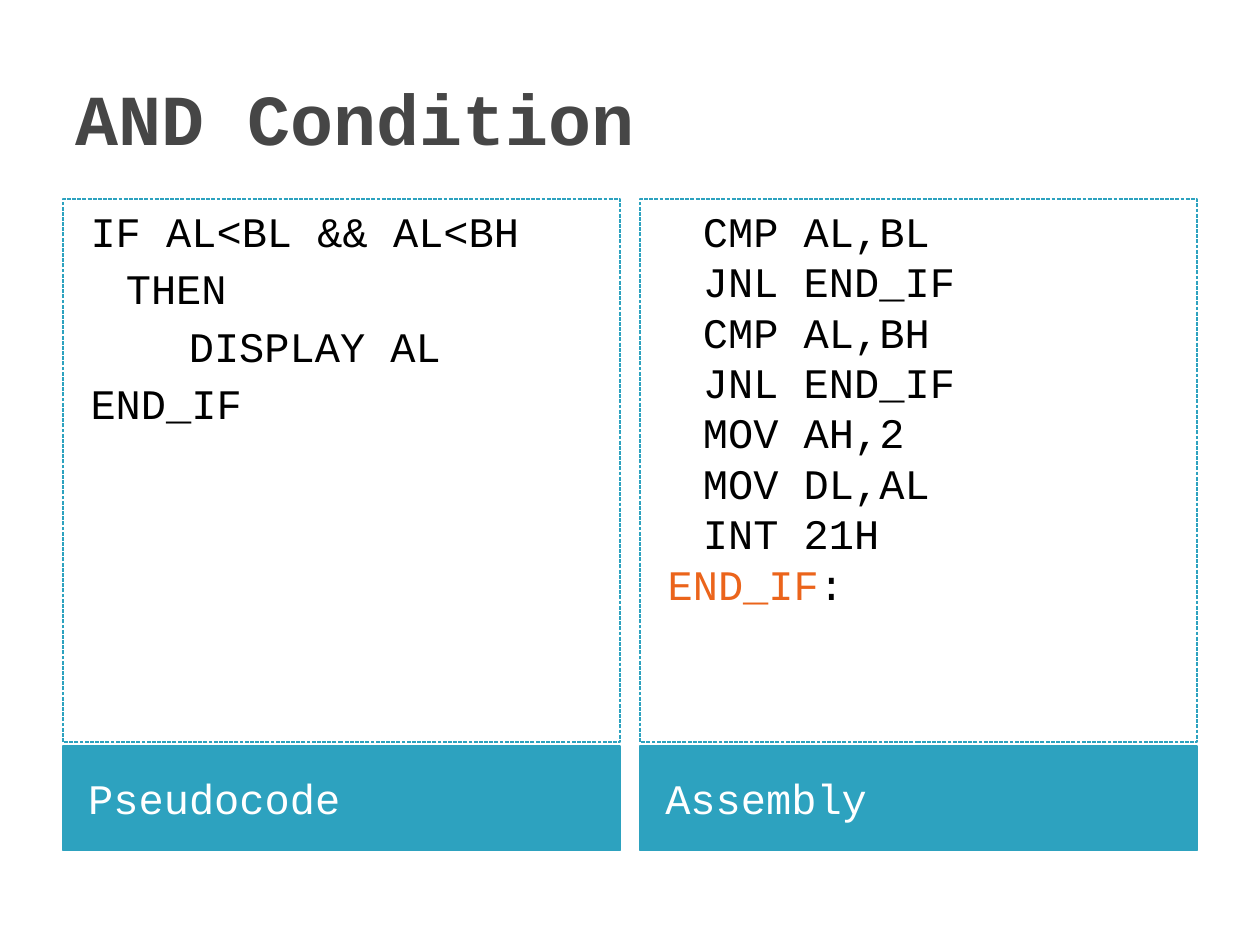
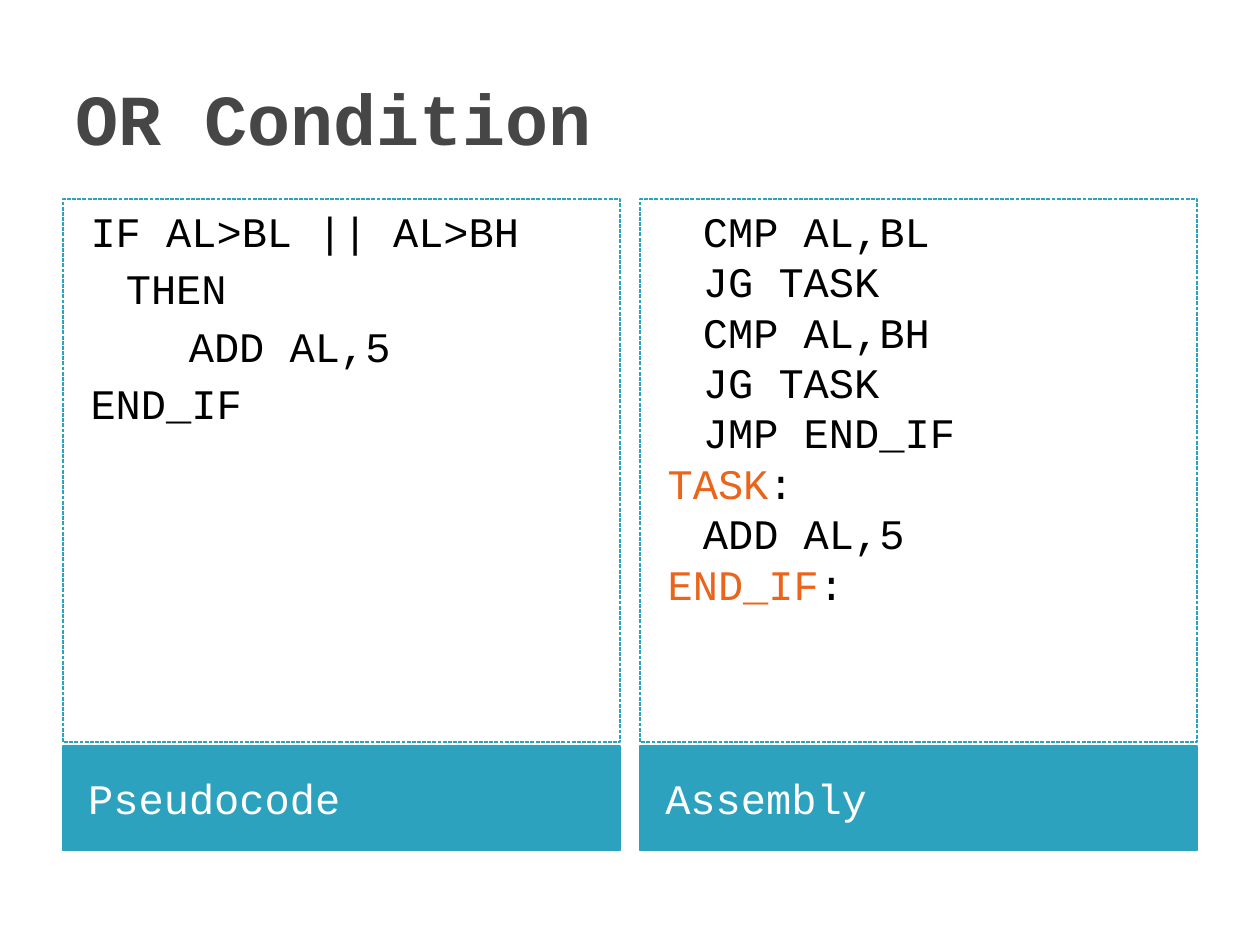
"""Build two slides that compare pseudocode with assembly for AND and OR conditions."""
from dataclasses import dataclass

from pptx import Presentation
from pptx.dml.color import RGBColor
from pptx.enum.dml import MSO_LINE_DASH_STYLE as Dash
from pptx.enum.shapes import MSO_SHAPE as Shape
from pptx.enum.text import MSO_ANCHOR as Anchor, PP_ALIGN as Align
from pptx.util import Inches, Pt


@dataclass(frozen=True)
class Theme:
    font: str = "Courier New"
    title_color: RGBColor = RGBColor(0x46, 0x46, 0x46)
    accent: RGBColor = RGBColor(0x2D, 0xA2, 0xBF)
    label: RGBColor = RGBColor(0xEB, 0x64, 0x1B)
    code: RGBColor = RGBColor(0, 0, 0)
    white: RGBColor = RGBColor(0xFF, 0xFF, 0xFF)
    title_size: Pt = Pt(41)
    body_size: Pt = Pt(24)
    paragraph_gap: Pt = Pt(4)


theme = Theme()
margin, column_width, column_step = 0.5, 4.42, 4.58
panel_top, panel_height = 1.58, 4.31
band_top, band_height = 5.92, 0.83

slides = [
    (
        "AND Condition",
        ["IF AL<BL && AL<BH", "\tTHEN", "\t\tDISPLAY AL", "END_IF"],
        ["\tCMP AL,BL", "\tJNL END_IF", "\tCMP AL,BH", "\tJNL END_IF",
         "\tMOV AH,2", "\tMOV DL,AL", "\tINT 21H", "END_IF:"],
    ),
    (
        "OR Condition",
        ["IF AL>BL || AL>BH", "\tTHEN", "\t\tADD AL,5", "END_IF"],
        ["\tCMP AL,BL", "\tJG TASK", "\tCMP AL,BH", "\tJG TASK",
         "\tJMP END_IF", "TASK:", "\tADD AL,5", "END_IF:"],
    ),
]


def add_run(paragraph, text, color, size=theme.body_size, bold=False):
    run = paragraph.add_run()
    run.text = text
    run.font.name = theme.font
    run.font.size = size
    run.font.bold = bold
    run.font.color.rgb = color


def add_box(slide, left, top, height, anchor):
    shape = slide.shapes.add_shape(
        Shape.RECTANGLE, Inches(left), Inches(top), Inches(column_width), Inches(height))
    shape.shadow.inherit = False
    shape.line.color.rgb = theme.accent
    shape.line.width = Pt(0.75)
    shape.text_frame.word_wrap = True
    shape.text_frame.vertical_anchor = anchor
    return shape


presentation = Presentation()
presentation.slide_width = Inches(10)
presentation.slide_height = Inches(7.5)

for title, pseudocode, assembly in slides:
    slide = presentation.slides.add_slide(presentation.slide_layouts[6])
    title_box = slide.shapes.add_textbox(
        Inches(margin), Inches(0.3), Inches(9), Inches(1.25))
    title_box.text_frame.word_wrap = True
    title_box.text_frame.vertical_anchor = Anchor.MIDDLE
    add_run(title_box.text_frame.paragraphs[0], title, theme.title_color,
            theme.title_size, bold=True)

    columns = [("Pseudocode", pseudocode, theme.paragraph_gap), ("Assembly", assembly, Pt(0))]
    for column, (heading, lines, gap) in enumerate(columns):
        left = margin + column * column_step

        band = add_box(slide, left, band_top, band_height, Anchor.MIDDLE)
        band.fill.solid()
        band.fill.fore_color.rgb = theme.accent
        band.text_frame.margin_left = Inches(0.2)
        paragraph = band.text_frame.paragraphs[0]
        paragraph.alignment = Align.LEFT
        paragraph.space_before = theme.paragraph_gap
        add_run(paragraph, heading, theme.white)

        panel = add_box(slide, left, panel_top, panel_height, Anchor.TOP)
        panel.fill.background()
        panel.line.dash_style = Dash.SQUARE_DOT
        panel.text_frame.text = "\n" * (len(lines) - 1)
        for paragraph, line in zip(panel.text_frame.paragraphs, lines):
            paragraph.alignment = Align.LEFT
            paragraph.space_before = gap
            properties = paragraph._p.get_or_add_pPr()
            properties.set("marL", str(Inches(0.4)))
            properties.set("indent", str(Inches(-0.28)))
            label, colon, _ = line.partition(":")
            add_run(paragraph, label, theme.label if colon else theme.code)
            if colon:
                add_run(paragraph, colon, theme.code)

presentation.save("out.pptx")
